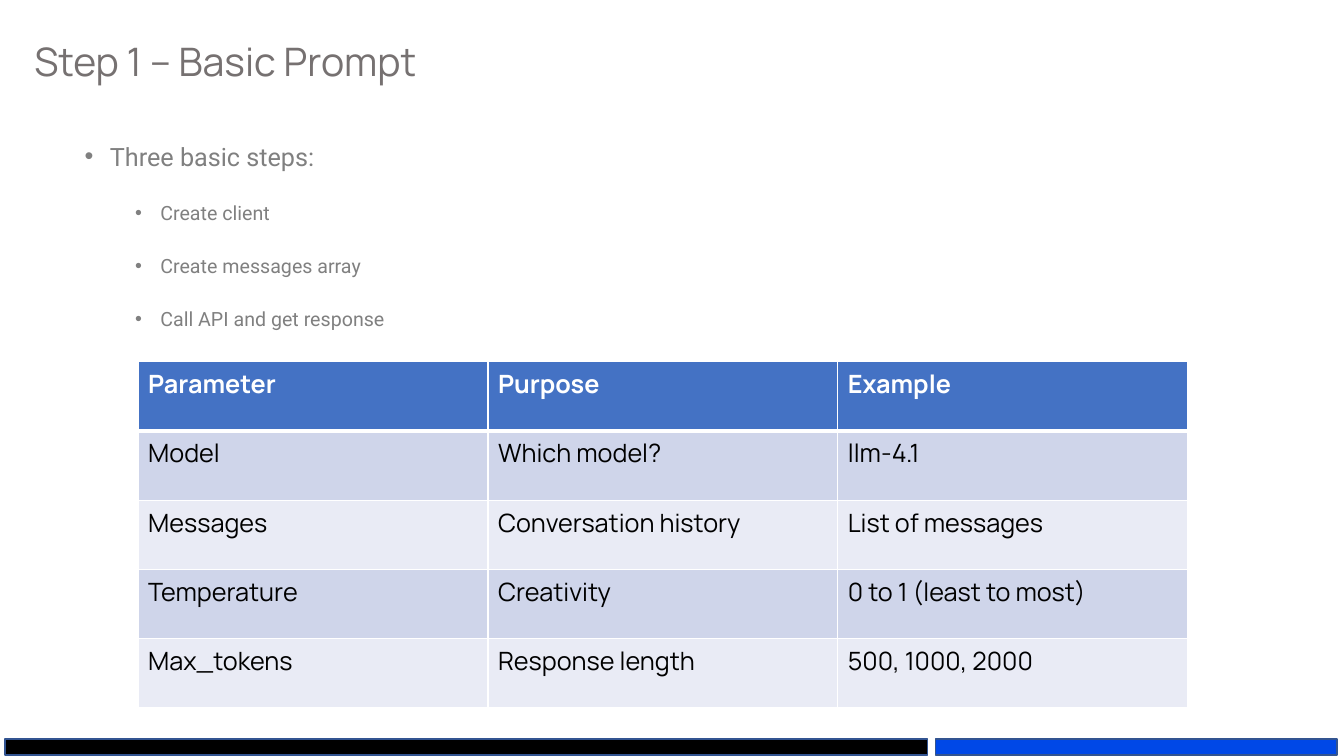
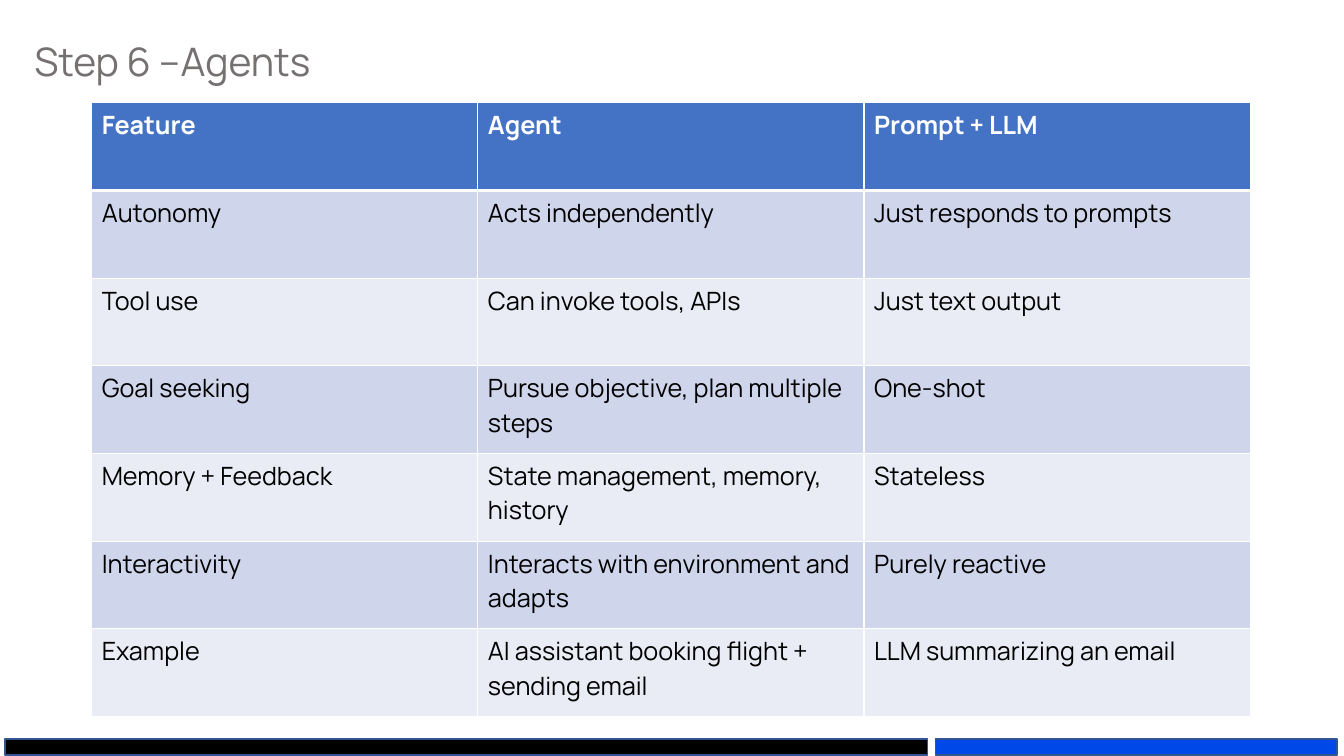
from lxml import etree
from pptx import Presentation
from pptx.dml.color import RGBColor
from pptx.enum.shapes import MSO_SHAPE as Shape
from pptx.enum.text import MSO_ANCHOR as Anchor, MSO_AUTO_SIZE as AutoSize, PP_ALIGN as Align
from pptx.oxml.ns import qn
from pptx.util import Inches, Pt

# Shared style
TITLE_FONT, BODY_FONT = "Manrope", "Roboto"
WHITE, BLACK = "FFFFFF", "000000"
TITLE_GRAY, BODY_GRAY = "767171", "808080"
HEADER_BLUE, ROW_DARK, ROW_LIGHT = "4472C4", "CFD5EA", "E9EBF5"
BAND_BLUE, BAND_LINE = "0048E7", "325491"
TITLE_BOX = (0.24, 0.24, 9.84, 0.79)
BANDS = [((9.28, 7.33, 3.98, 0.16), BAND_BLUE), ((0.05, 7.33, 9.15, 0.16), BLACK)]
TITLE_AND_CONTENT, TITLE_ONLY = 1, 5


def color(hex_string):
    return RGBColor.from_string(hex_string)


def place(shape, box):
    shape.left, shape.top, shape.width, shape.height = map(Inches, box)


def write(paragraph, text, size=18, font=TITLE_FONT, fill=BLACK, bold=False,
          line_spacing=None, space_before=0):
    """Put one formatted run into a paragraph."""
    paragraph.alignment = Align.LEFT
    paragraph.space_before = Pt(space_before)
    if line_spacing:
        paragraph.line_spacing = line_spacing
    run = paragraph.add_run()
    run.text = text
    run.font.size, run.font.name, run.font.bold = Pt(size), font, bold
    run.font.color.rgb = color(fill)


def add_bullet(paragraph, left):
    properties = paragraph._p.get_or_add_pPr()
    properties.set("marL", str(Inches(left)))
    properties.set("indent", str(Inches(-0.25)))
    etree.SubElement(properties, qn("a:buFont")).set("typeface", "Arial")
    etree.SubElement(properties, qn("a:buChar")).set("char", "•")


def add_border(cell, side, points):
    line = etree.SubElement(cell._tc.get_or_add_tcPr(), qn(f"a:ln{side}"))
    line.set("w", str(Pt(points)))
    fill = etree.SubElement(line, qn("a:solidFill"))
    etree.SubElement(fill, qn("a:srgbClr")).set("val", WHITE)


def add_titled_slide(presentation, layout, title):
    """Start a slide with the bottom bands and the title."""
    slide = presentation.slides.add_slide(presentation.slide_layouts[layout])
    for box, fill in BANDS:
        band = slide.shapes.add_shape(Shape.RECTANGLE, *map(Inches, box))
        band.shadow.inherit = False
        band.fill.solid()
        band.fill.fore_color.rgb = color(fill)
        band.line.color.rgb = color(BAND_LINE)
        band.line.width = Pt(1)
    place(slide.shapes.title, TITLE_BOX)
    frame = slide.shapes.title.text_frame
    frame.auto_size, frame.vertical_anchor = AutoSize.NONE, Anchor.MIDDLE
    write(frame.paragraphs[0], title, size=28, fill=TITLE_GRAY, line_spacing=0.9)
    return slide


def fill_list(placeholder, box, items):
    """Items are (level, text) pairs."""
    place(placeholder, box)
    frame = placeholder.text_frame
    frame.auto_size, frame.vertical_anchor = AutoSize.NONE, Anchor.TOP
    for index, (level, text) in enumerate(items):
        paragraph = frame.add_paragraph() if index else frame.paragraphs[0]
        paragraph.level = level
        write(paragraph, text, size=18 if level == 1 else 14, font=BODY_FONT,
              fill=BODY_GRAY, line_spacing=1.6, space_before=11)
        add_bullet(paragraph, 0.25 + 0.5 * level)


def add_banded_table(slide, box, rows):
    """Equal columns and rows under a blue header."""
    table = slide.shapes.add_table(len(rows), len(rows[0]), *map(Inches, box)).table
    for row_index, texts in enumerate(rows):
        header = row_index == 0
        band = HEADER_BLUE if header else ROW_DARK if row_index % 2 else ROW_LIGHT
        for column_index, text in enumerate(texts):
            cell = table.cell(row_index, column_index)
            # The rule below the header is thicker
            for side, points in (("L", 1), ("R", 1), ("T", 3 if row_index == 1 else 1),
                                 ("B", 3 if header else 1)):
                add_border(cell, side, points)
            cell.fill.solid()
            cell.fill.fore_color.rgb = color(band)
            write(cell.text_frame.paragraphs[0], text, bold=header,
                  fill=WHITE if header else BLACK)


def build_prompt_slide(presentation):
    slide = add_titled_slide(presentation, TITLE_AND_CONTENT, "Step 1 – Basic Prompt")
    fill_list(slide.placeholders[1], (0.24, 1.17, 12.67, 4.38), [
        (1, "Three basic steps:"),
        (2, "Create client"),
        (2, "Create messages array"),
        (2, "Call API and get response"),
    ])
    add_banded_table(slide, (1.37, 3.59, 10.41, 3.43), [
        ("Parameter", "Purpose", "Example"),
        ("Model", "Which model?", "llm-4.1"),
        ("Messages", "Conversation history", "List of messages"),
        ("Temperature", "Creativity", "0 to 1 (least to most)"),
        ("Max_tokens", "Response length", "500, 1000, 2000"),
    ])


def build_agents_slide(presentation):
    slide = add_titled_slide(presentation, TITLE_ONLY, "Step 6 –Agents")
    add_banded_table(slide, (0.91, 1.02, 11.49, 6.09), [
        ("Feature", "Agent", "Prompt + LLM"),
        ("Autonomy", "Acts independently", "Just responds to prompts"),
        ("Tool use", "Can invoke tools, APIs", "Just text output"),
        ("Goal seeking", "Pursue objective, plan multiple steps", "One-shot"),
        ("Memory + Feedback", "State management, memory, history", "Stateless"),
        ("Interactivity", "Interacts with environment and adapts", "Purely reactive"),
        ("Example", "AI assistant booking flight + sending email", "LLM summarizing an email"),
    ])


def main():
    presentation = Presentation()
    presentation.slide_width, presentation.slide_height = Inches(13.33), Inches(7.5)
    build_prompt_slide(presentation)
    build_agents_slide(presentation)
    presentation.save("out.pptx")


if __name__ == "__main__":
    main()
